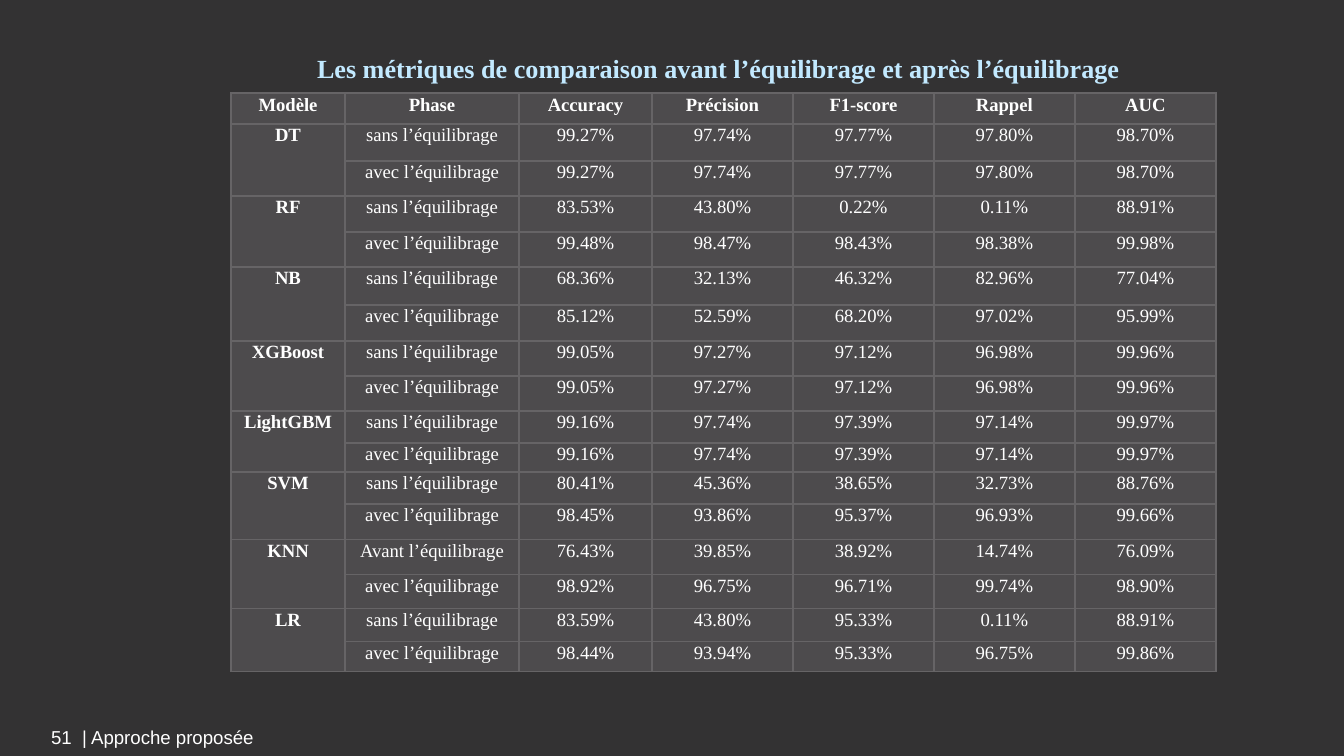
from pptx import Presentation, util as u
from pptx.dml.color import RGBColor
from pptx.enum import text
from pptx.oxml import parse_xml
from pptx.oxml.ns import nsdecls

# Lengths are whole px, 134.4 to the inch
EMU_PER_PX = 914400 / 134.4

BACKGROUND = RGBColor(0x33, 0x32, 0x33)
CELL_FILL = RGBColor(0x4D, 0x4B, 0x4D)
BORDER = RGBColor(0x66, 0x64, 0x66)
WHITE = RGBColor(0xFF, 0xFF, 0xFF)
TITLE_BLUE = RGBColor(0xC2, 0xE9, 0xFF)
SERIF, SANS = "Times New Roman", "Arial"

COLUMN_WIDTHS = [114, 174, 133] + [141] * 4
ROW_HEIGHTS = [31, 37, 35, 36, 35, 38, 36, 35, 35, 32, 29, 32, 36, 35, 34, 33, 30]
HEADERS = ["Modèle", "Phase", "Accuracy", "Précision", "F1-score", "Rappel", "AUC"]
WITHOUT, WITH, BEFORE = "sans l’équilibrage", "avec l’équilibrage", "Avant l’équilibrage"

# Model, label of its first phase, scores in percent for both phases
RESULTS = [
    ("DT", WITHOUT, "99.27 97.74 97.77 97.80 98.70", "99.27 97.74 97.77 97.80 98.70"),
    ("RF", WITHOUT, "83.53 43.80 0.22 0.11 88.91", "99.48 98.47 98.43 98.38 99.98"),
    ("NB", WITHOUT, "68.36 32.13 46.32 82.96 77.04", "85.12 52.59 68.20 97.02 95.99"),
    ("XGBoost", WITHOUT, "99.05 97.27 97.12 96.98 99.96", "99.05 97.27 97.12 96.98 99.96"),
    ("LightGBM", WITHOUT, "99.16 97.74 97.39 97.14 99.97", "99.16 97.74 97.39 97.14 99.97"),
    ("SVM", WITHOUT, "80.41 45.36 38.65 32.73 88.76", "98.45 93.86 95.37 96.93 99.66"),
    ("KNN", BEFORE, "76.43 39.85 38.92 14.74 76.09", "98.92 96.75 96.71 99.74 98.90"),
    ("LR", WITHOUT, "83.59 43.80 95.33 0.11 88.91", "98.44 93.94 95.33 96.75 99.86"),
]


def px(n):
    return u.Emu(round(n * EMU_PER_PX))


def write(tf, content, *, font=SERIF, size=10, color=WHITE, bold=False,
          align=text.PP_ALIGN.LEFT, spacing=None, after=0):
    p = tf.paragraphs[0]
    p.alignment = align
    p.space_before, p.space_after = u.Pt(0), u.Pt(after)
    if spacing:
        p.line_spacing = spacing
    r = p.add_run()
    r.text = content
    r.font.name, r.font.size, r.font.bold = font, u.Pt(size), bold
    r.font.color.rgb = color


def add_title(s, content):
    sp = s.shapes.title
    sp.left, sp.top, sp.width, sp.height = px(102), px(44), px(1083), px(46)
    tf = sp.text_frame
    tf.word_wrap = True
    tf.auto_size = text.MSO_AUTO_SIZE.NONE
    tf.vertical_anchor = text.MSO_ANCHOR.MIDDLE
    tf.margin_left = px(215)
    write(tf, content, size=14, color=TITLE_BLUE, bold=True, spacing=1.07)


def add_footer(s, content):
    tf = s.shapes.add_textbox(px(38), px(719), px(231), px(59)).text_frame
    tf.word_wrap = False
    write(tf, content, font=SANS)


def style_cell(cell):
    tc_pr = cell._tc.get_or_add_tcPr()
    for side in "LRTB":
        tc_pr.append(parse_xml(
            f'<a:ln{side} {nsdecls("a")} w="12700"><a:solidFill>'
            f'<a:srgbClr val="{BORDER}"/></a:solidFill></a:ln{side}>'))
    cell.fill.solid()
    cell.fill.fore_color.rgb = CELL_FILL
    cell.margin_left = cell.margin_right = px(4)
    cell.margin_top = cell.margin_bottom = 0


def table_rows():
    yield HEADERS
    for model, first_phase, first, second in RESULTS:
        for name, phase, scores in ((model, first_phase, first), ("", WITH, second)):
            yield [name, phase] + [f"{score}%" for score in scores.split()]


def add_metrics_table(s):
    table = s.shapes.add_table(
        len(ROW_HEIGHTS), len(COLUMN_WIDTHS), px(231), px(93),
        px(sum(COLUMN_WIDTHS)), px(sum(ROW_HEIGHTS))).table
    table.horz_banding = False
    for column, width in zip(table.columns, COLUMN_WIDTHS):
        column.width = px(width)
    for row, height in zip(table.rows, ROW_HEIGHTS):
        row.height = px(height)

    for i, values in enumerate(table_rows()):
        for j, value in enumerate(values):
            cell = table.cell(i, j)
            style_cell(cell)
            if value:
                write(cell.text_frame, value, bold=i == 0 or j == 0,
                      align=text.PP_ALIGN.CENTER, spacing=1.07, after=8)

    # Each model name spans its two phases
    for i in range(1, len(ROW_HEIGHTS), 2):
        table.cell(i, 0).merge(table.cell(i + 1, 0))


def main():
    prs = Presentation()
    prs.slide_width, prs.slide_height = px(1344), px(756)
    s = prs.slides.add_slide(prs.slide_layouts[5])
    s.background.fill.solid()
    s.background.fill.fore_color.rgb = BACKGROUND

    add_footer(s, "51  | Approche proposée")
    add_metrics_table(s)
    add_title(s, "Les métriques de comparaison avant l’équilibrage et après l’équilibrage")
    prs.save("out.pptx")


if __name__ == "__main__":
    main()
